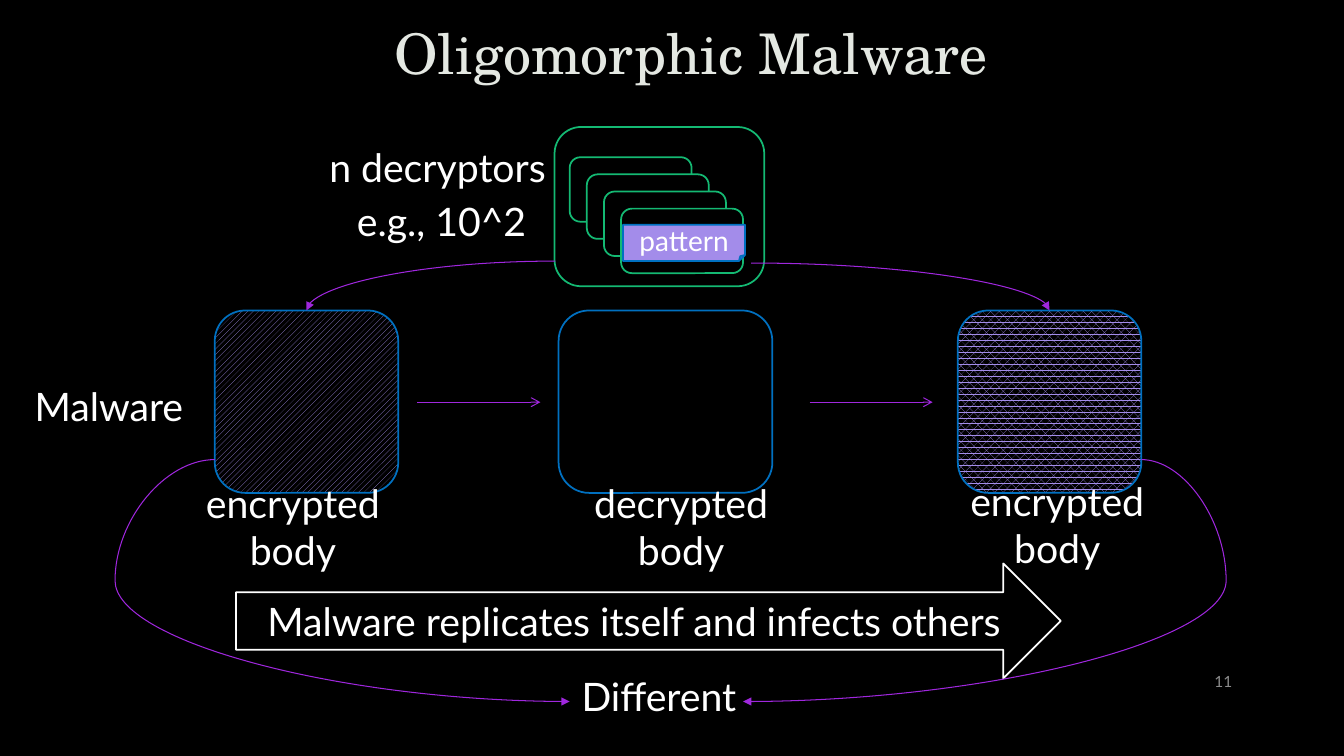
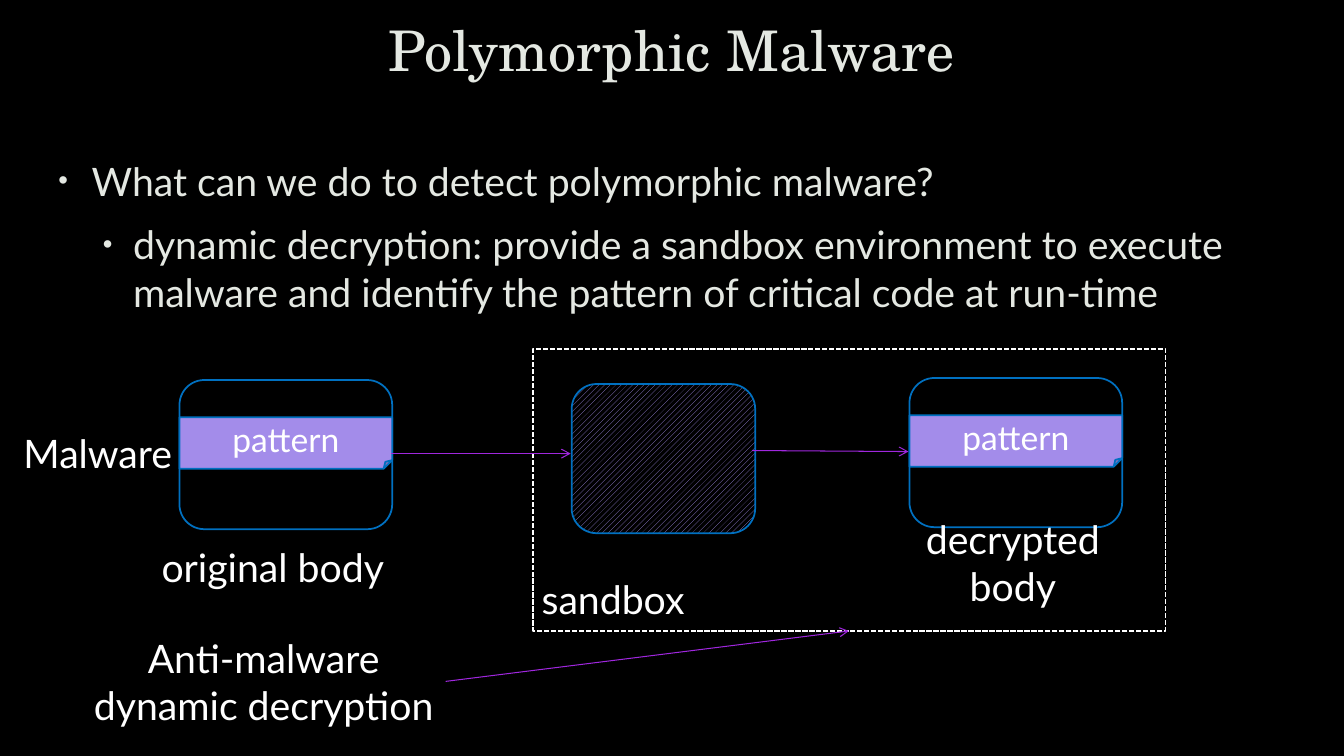
import pptx
import pptx.dml.color
import pptx.enum.dml
import pptx.enum.shapes
import pptx.enum.text
import pptx.oxml
import pptx.oxml.ns
import pptx.util

PX = 9144  # 100 px to the inch
BLACK, WHITE, PALE, GREY = "000000", "FFFFFF", "E4E8E2", "8C8C8C"
BLUE, GREEN, LILAC, PURPLE = "0070C0", "14B973", "A38CEA", "9F27DD"
BODY_FONT, TITLE_FONT = "Lato", "TeX Gyre Schola"

SHAPE = pptx.enum.shapes.MSO_SHAPE
PATTERN = pptx.enum.dml.MSO_PATTERN
ALIGN = pptx.enum.text.PP_ALIGN
color = pptx.dml.color.RGBColor.from_string
qn = pptx.oxml.ns.qn


def add_block(slide, box, kind=None, line=None, fill=None, pattern=None,
              text="", size=28, font_color=WHITE, align=ALIGN.CENTER):
    """Add a preset shape, or a text box when no kind is given."""
    box = [length * PX for length in box]
    if kind is None:
        shape = slide.shapes.add_textbox(*box)
    else:
        shape = slide.shapes.add_shape(kind, *box)
        shape.shadow.inherit = False
        shape.line.color.rgb = color(line)
        shape.line.width = pptx.util.Pt(1.25)
        if pattern:
            shape.fill.patterned()
            shape.fill.pattern = pattern
            shape.fill.fore_color.rgb = color(LILAC)
            shape.fill.back_color.rgb = color(BLACK)
        elif fill:
            shape.fill.solid()
            shape.fill.fore_color.rgb = color(fill)
        else:
            shape.fill.background()
    if text:
        frame = shape.text_frame
        frame.word_wrap = True
        frame.vertical_anchor = pptx.enum.text.MSO_ANCHOR.MIDDLE
        paragraph = frame.paragraphs[0]
        paragraph.text = text
        paragraph.alignment = align
        paragraph.font.name = BODY_FONT
        paragraph.font.size = pptx.util.Pt(size)
        paragraph.font.color.rgb = color(font_color)
    return shape


def add_arrow(slide, start, end, preset="line", head="arrow", bend=None):
    """Add a purple connector with its arrowhead at the end point."""
    connector = slide.shapes.add_connector(
        pptx.enum.shapes.MSO_CONNECTOR.STRAIGHT,
        *[length * PX for length in start + end])
    connector.line.color.rgb = color(PURPLE)
    connector.line.width = pptx.util.Pt(0.75)
    properties = connector.element.spPr
    geometry = properties.find(qn("a:prstGeom"))
    geometry.set("prst", preset)
    if bend is not None:
        guide = pptx.oxml.parse_xml(
            f'<a:gd {pptx.oxml.ns.nsdecls("a")} name="adj1" fmla="val {bend}"/>')
        geometry.find(qn("a:avLst")).append(guide)
    tail = pptx.oxml.parse_xml(
        f'<a:tailEnd {pptx.oxml.ns.nsdecls("a")} type="{head}"/>')
    properties.find(qn("a:ln")).append(tail)
    properties.append(pptx.oxml.parse_xml(
        f'<a:effectLst {pptx.oxml.ns.nsdecls("a")}/>'))


# Presentation and shared background
presentation = pptx.Presentation()
presentation.slide_width = 1333 * PX
presentation.slide_height = 750 * PX
background = presentation.slide_master.background.fill
background.solid()
background.fore_color.rgb = color(BLACK)

# Slides with their titles
slides = []
for layout, title_text, title_box in [
    (5, "Oligomorphic Malware", (291, 0, 788, 112)),
    (1, "Polymorphic Malware", (100, 0, 1132, 105)),
]:
    slide = presentation.slides.add_slide(presentation.slide_layouts[layout])
    title = slide.shapes.title
    title.left, title.top, title.width, title.height = [
        length * PX for length in title_box]
    title.text_frame.vertical_anchor = pptx.enum.text.MSO_ANCHOR.MIDDLE
    paragraph = title.text_frame.paragraphs[0]
    paragraph.text = title_text
    paragraph.alignment = ALIGN.CENTER
    paragraph.line_spacing = 0.9
    paragraph.font.name = TITLE_FONT
    paragraph.font.size = pptx.util.Pt(40)
    paragraph.font.color.rgb = color(PALE)
    slides.append(slide)
oligomorphic, polymorphic = slides

# Oligomorphic: malware bodies
for left, width, pattern in [
    (213, 182, PATTERN.WIDE_UPWARD_DIAGONAL),
    (554, 212, None),
    (950, 182, PATTERN.PERCENT_60),
]:
    add_block(oligomorphic, (left, 308, width, 181), SHAPE.ROUNDED_RECTANGLE,
              BLUE, pattern=pattern)

# Oligomorphic: labels
for text, box in [
    ("Malware", (8, 369, 200, 68)),
    ("encrypted body", (156, 471, 269, 103)),
    ("decrypted body", (541, 471, 269, 103)),
    ("encrypted body", (914, 469, 269, 103)),
    ("n decryptors", (261, 114, 346, 103)),
    ("e.g., 10^2", (265, 168, 346, 103)),
    ("Different", (513, 656, 281, 68)),
]:
    add_block(oligomorphic, box, text=text)
add_block(oligomorphic, (234, 559, 818, 114), SHAPE.RIGHT_ARROW, WHITE,
          text="Malware replicates itself and infects others")
add_block(oligomorphic, (1150, 656, 82, 40), text="11", size=11,
          font_color=GREY, align=ALIGN.RIGHT)

# Oligomorphic: stack of decryptors in a frame
for index in range(4):
    add_block(oligomorphic, (565 + 17 * index, 156 + 17 * index, 121, 64),
              SHAPE.ROUNDED_RECTANGLE, GREEN, BLACK)
add_block(oligomorphic, (618, 223, 121, 36), SHAPE.FOLDED_CORNER, BLUE, LILAC,
          text="pattern", size=20)
add_block(oligomorphic, (550, 126, 208, 158), SHAPE.ROUNDED_RECTANGLE, GREEN)

# Oligomorphic: arrows
for left in (414, 803):
    add_arrow(oligomorphic, (left, 399), (left + 122, 399))
for start, end, preset, bend in [
    ((551, 259), (304, 308), "curvedConnector2", None),
    ((745, 261), (1041, 308), "curvedConnector2", None),
    ((213, 456), (565, 696), "curvedConnector3", -28100),
    ((1132, 456), (737, 696), "curvedConnector3", -21300),
]:
    add_arrow(oligomorphic, start, end, preset, "triangle", bend)

# Polymorphic: bullet list
body = polymorphic.placeholders[1]
body.left, body.top, body.width, body.height = [
    length * PX for length in (43, 146, 1259, 406)]
for index, (text, margin, indent, spacing) in enumerate([
    ("What can we do to detect polymorphic malware?", 38, -33, 1.1),
    ("dynamic decryption: provide a sandbox environment to execute malware "
     "and identify the pattern of critical code at run-time", 79, -30, 1.0),
]):
    frame = body.text_frame
    paragraph = frame.add_paragraph() if index else frame.paragraphs[0]
    paragraph.text = text
    paragraph.level = index
    paragraph.line_spacing = spacing
    paragraph.space_before = pptx.util.Pt(6)
    paragraph.space_after = pptx.util.Pt(6)
    properties = paragraph._p.get_or_add_pPr()
    properties.set("marL", str(margin * PX))
    properties.set("indent", str(indent * PX))
    for bullet in (f'buClr {{}}><a:srgbClr val="{PALE}"/></a:buClr',
                   'buSzPct {} val="70000"/',
                   'buFont {} typeface="Arial"/',
                   'buChar {} char="•"/'):
        properties.append(pptx.oxml.parse_xml(
            f'<a:{bullet.format(pptx.oxml.ns.nsdecls("a"))}>'))
    paragraph.font.name = BODY_FONT
    paragraph.font.size = pptx.util.Pt(28)
    paragraph.font.color.rgb = color(PALE)

# Polymorphic: malware bodies and their patterns
add_block(polymorphic, (567, 381, 182, 148), SHAPE.ROUNDED_RECTANGLE, BLUE,
          pattern=PATTERN.WIDE_UPWARD_DIAGONAL)
for left, top in [(178, 377), (902, 375)]:
    add_block(polymorphic, (left, top, 211, 148), SHAPE.ROUNDED_RECTANGLE, BLUE)
    add_block(polymorphic, (left, top + 37, 211, 51), SHAPE.FOLDED_CORNER,
              BLUE, LILAC, text="pattern", size=24)

# Polymorphic: sandbox outline
sandbox = add_block(polymorphic, (529, 346, 627, 280), SHAPE.RECTANGLE, WHITE)
sandbox.line.dash_style = pptx.enum.dml.MSO_LINE.SQUARE_DOT

# Polymorphic: labels
for text, box in [
    ("Malware", (2, 415, 190, 68)),
    ("original body", (136, 511, 269, 103)),
    ("decrypted body", (870, 506, 269, 103)),
    ("sandbox", (517, 563, 182, 63)),
    ("Anti-malware dynamic decryption", (81, 628, 361, 96)),
]:
    add_block(polymorphic, box, text=text)

# Polymorphic: arrows
for start, end in [
    ((388, 450), (566, 450)),
    ((746, 447), (901, 448)),
    ((442, 676), (842, 626)),
]:
    add_arrow(polymorphic, start, end)

presentation.save("out.pptx")
